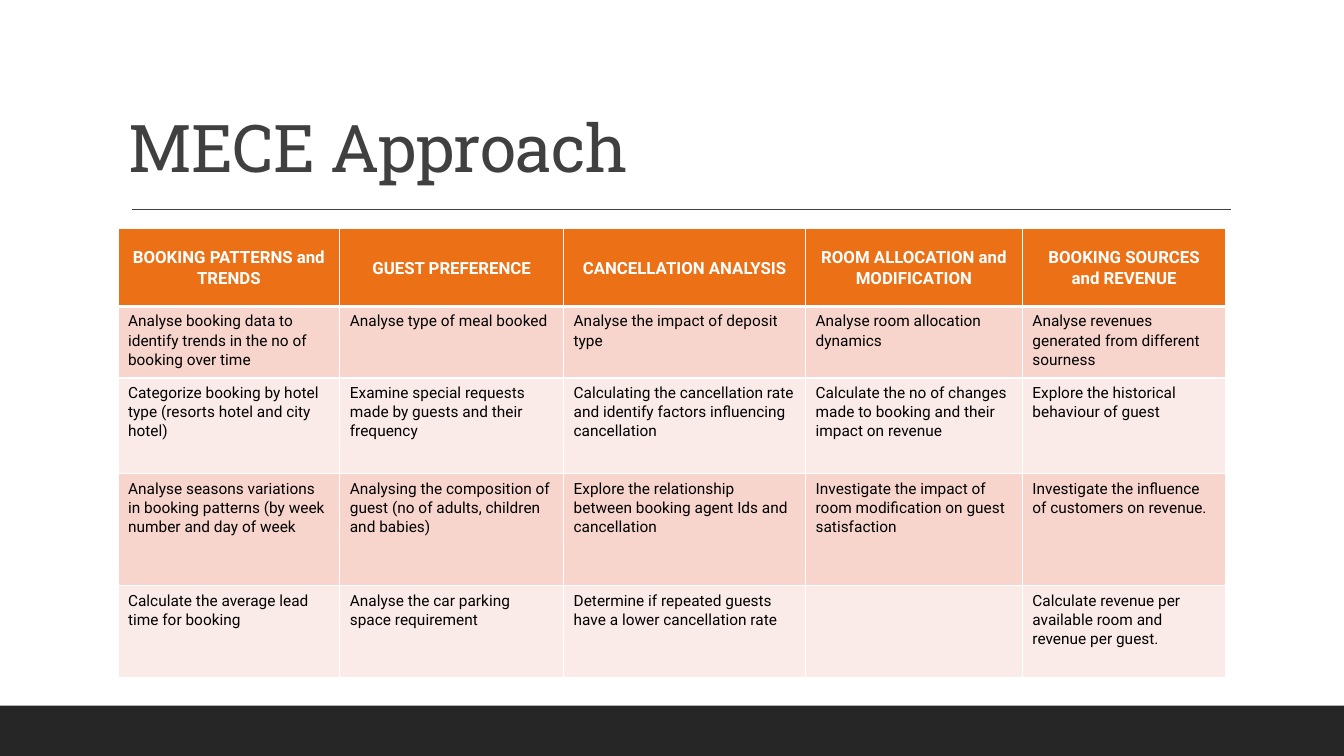
import pptx
import pptx.dml.color
import pptx.enum.shapes
import pptx.enum.text
import pptx.oxml
import pptx.oxml.ns
import pptx.util
from pptx.util import Inches

RGBColor = pptx.dml.color.RGBColor
WHITE = RGBColor(0xFF, 0xFF, 0xFF)
BLACK = RGBColor(0x00, 0x00, 0x00)
CHARCOAL = RGBColor(0x26, 0x26, 0x26)
GRAY = RGBColor(0x40, 0x40, 0x40)
ORANGE = RGBColor(0xEC, 0x70, 0x16)
ROSE = RGBColor(0xF8, 0xD5, 0xCC)
BLUSH = RGBColor(0xFB, 0xEB, 0xE8)

ALIGN = pptx.enum.text.PP_ALIGN
ANCHOR = pptx.enum.text.MSO_ANCHOR

COLUMN_WIDTHS = [2.2, 2.22, 2.4, 2.15, 2.02]
ROW_HEIGHTS = [0.77, 0.71, 0.95, 1.11, 0.91]
ROWS = [
    ["BOOKING PATTERNS and TRENDS", "GUEST PREFERENCE", "CANCELLATION ANALYSIS",
     "ROOM ALLOCATION and MODIFICATION", "BOOKING SOURCES and REVENUE"],
    ["Analyse booking data to identify trends in the no of booking over time",
     "Analyse type of meal booked",
     "Analyse the impact of deposit type",
     "Analyse room allocation dynamics",
     "Analyse revenues generated from different sourness"],
    ["Categorize booking by hotel type (resorts hotel and city hotel)",
     "Examine special requests made by guests and their frequency",
     "Calculating the cancellation rate and identify factors influencing cancellation",
     "Calculate the no of changes made to booking and their impact on revenue",
     "Explore the historical behaviour of guest"],
    ["Analyse seasons variations in booking patterns (by week number and day of week",
     "Analysing the composition of guest (no of adults, children and babies)",
     "Explore the relationship between booking agent Ids and cancellation",
     "Investigate the impact of room modification on guest satisfaction",
     "Investigate the influence of customers on revenue."],
    ["Calculate the average lead time for booking",
     "Analyse the car parking space requirement",
     "Determine if repeated guests have a lower cancellation rate",
     "",
     "Calculate revenue per available room and revenue per guest."],
]


class SlideBuilder:
    """Hold the style and the current slide, and add each kind of element to it."""

    title_style = {
        "font": {"name": "Roboto Slab", "size": pptx.util.Pt(47), "bold": False},
        "color": GRAY,
        "paragraph": {"alignment": ALIGN.LEFT, "line_spacing": 0.9},
    }
    header_style = {
        "font": {"name": "Roboto", "size": pptx.util.Pt(12), "bold": True},
        "color": WHITE,
        "paragraph": {"alignment": ALIGN.CENTER, "line_spacing": 1.07,
                      "space_after": pptx.util.Pt(8)},
    }
    body_style = {
        "font": {"name": "Roboto", "size": pptx.util.Pt(11), "bold": False},
        "color": BLACK,
        "paragraph": {"alignment": ALIGN.LEFT, "line_spacing": 1.07,
                      "space_after": pptx.util.Pt(8)},
    }

    def __init__(self, presentation):
        self.slide = presentation.slides.add_slide(presentation.slide_layouts[5])

    def apply(self, target, values):
        for name, value in values.items():
            setattr(target, name, value)

    def add_text(self, text_frame, text, style):
        paragraph = text_frame.paragraphs[0]
        self.apply(paragraph, style["paragraph"])
        run = paragraph.add_run()
        run.text = text
        self.apply(run.font, style["font"])
        run.font.color.rgb = style["color"]
        return run

    def bar(self, left, top, width, height, color):
        shape = self.slide.shapes.add_shape(
            pptx.enum.shapes.MSO_SHAPE.RECTANGLE,
            Inches(left), Inches(top), Inches(width), Inches(height))
        shape.shadow.inherit = False
        shape.fill.solid()
        shape.fill.fore_color.rgb = color
        shape.line.fill.background()

    def rule(self, left, right, top, color):
        connector = self.slide.shapes.add_connector(
            pptx.enum.shapes.MSO_CONNECTOR.STRAIGHT,
            Inches(left), Inches(top), Inches(right), Inches(top))
        connector.line.color.rgb = color
        connector.line.width = pptx.util.Pt(1)
        properties = connector.element.spPr
        properties.append(properties.makeelement(pptx.oxml.ns.qn("a:effectLst"), {}))

    def title(self, text, left, top, width, height):
        title = self.slide.shapes.title
        self.apply(title, {"left": Inches(left), "top": Inches(top),
                           "width": Inches(width), "height": Inches(height)})
        self.apply(title.text_frame, {
            "word_wrap": True, "vertical_anchor": ANCHOR.BOTTOM,
            "auto_size": pptx.enum.text.MSO_AUTO_SIZE.NONE})
        run = self.add_text(title.text_frame, text, self.title_style)
        run.font._element.set("spc", "-50")

    def cell_borders(self, cell, bottom_width):
        properties = cell._tc.get_or_add_tcPr()
        for side, width in {"L": 1, "R": 1, "T": 1, "B": bottom_width}.items():
            properties.append(pptx.oxml.parse_xml(
                f'<a:ln{side} {pptx.oxml.ns.nsdecls("a")} w="{pptx.util.Pt(width)}">'
                f'<a:solidFill><a:srgbClr val="{WHITE}"/></a:solidFill></a:ln{side}>'))

    def table(self, rows, left, top, column_widths, row_heights):
        table = self.slide.shapes.add_table(
            len(rows), len(column_widths), Inches(left), Inches(top),
            Inches(sum(column_widths)), Inches(sum(row_heights))).table
        for column, width in zip(table.columns, column_widths):
            column.width = Inches(width)
        for row_index, (row, height) in enumerate(zip(table.rows, row_heights)):
            row.height = Inches(height)
            is_header = row_index == 0
            color = ORANGE if is_header else (BLUSH, ROSE)[row_index % 2]
            for cell, text in zip(row.cells, rows[row_index]):
                self.cell_borders(cell, 3 if is_header else 1)
                cell.fill.solid()
                cell.fill.fore_color.rgb = color
                cell.vertical_anchor = ANCHOR.MIDDLE if is_header else ANCHOR.TOP
                if text:
                    self.add_text(cell.text_frame, text,
                                  self.header_style if is_header else self.body_style)


def main():
    presentation = pptx.Presentation()
    presentation.slide_width = Inches(13.33)
    presentation.slide_height = Inches(7.5)
    builder = SlideBuilder(presentation)
    builder.bar(0, 7, 13.33, 0.5, CHARCOAL)
    builder.rule(1.31, 12.21, 2.08, GRAY)
    builder.title("MECE Approach", 1.17, 0.31, 11, 1.59)
    builder.table(ROWS, 1.17, 2.27, COLUMN_WIDTHS, ROW_HEIGHTS)
    presentation.save("out.pptx")


if __name__ == "__main__":
    main()
